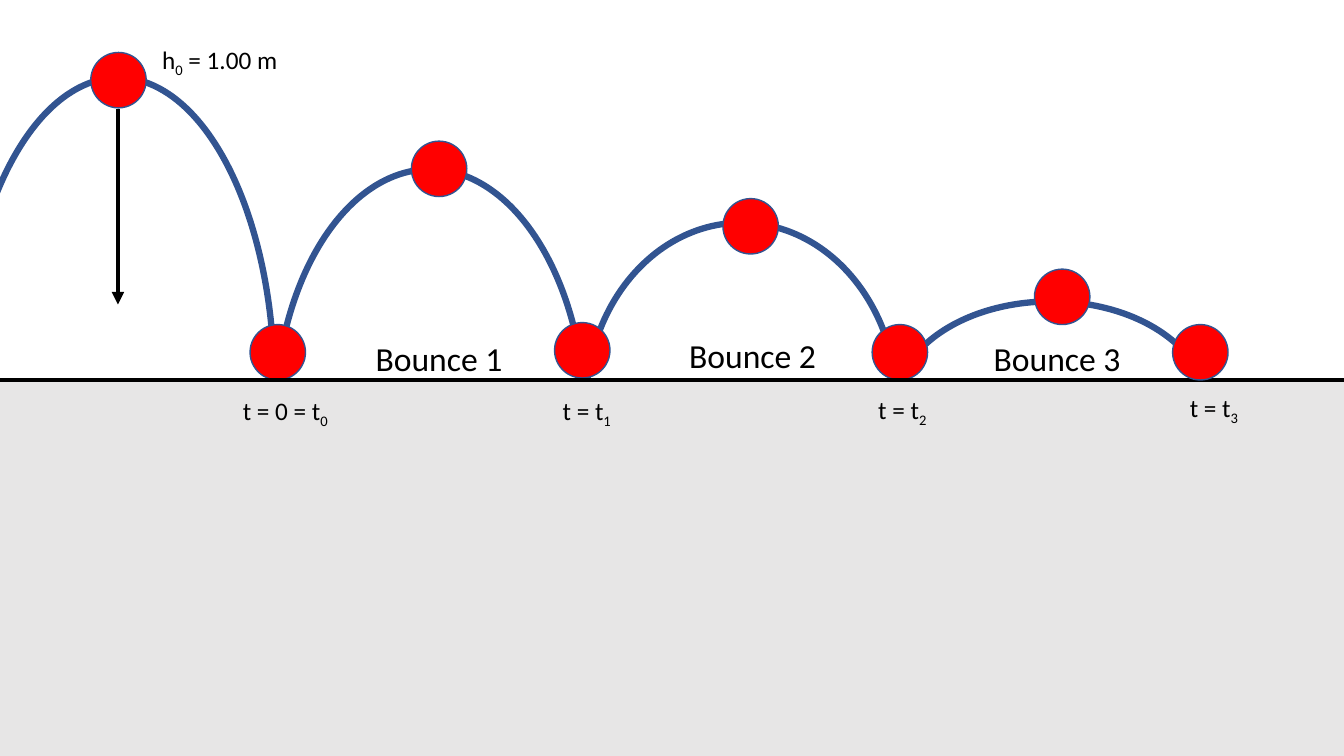
from lxml.etree import SubElement
from pptx import Presentation
from pptx.dml.color import RGBColor
from pptx.enum.shapes import MSO_CONNECTOR, MSO_SHAPE
from pptx.enum.text import MSO_AUTO_SIZE, PP_ALIGN
from pptx.oxml.ns import qn
from pptx.util import Inches, Pt

RED = RGBColor(0xFF, 0x00, 0x00)
BLUE = RGBColor(0x32, 0x54, 0x91)
GRAY = RGBColor(0xE7, 0xE6, 0xE6)
BLACK = RGBColor(0x00, 0x00, 0x00)

WIDTH, HEIGHT = 13.33, 7.5
GROUND = 3.77
BALL = 0.55
ARC_WIDTH = 3.09

# Arcs: left, top, height
ARCS = [(-0.37, 0.77, 6.09), (2.72, 1.68, 5.09), (5.81, 2.21, 3.64), (8.88, 2.99, 2.08)]
# Balls: left, top
PEAK_BALLS = [(0.9, 0.52), (4.08, 1.4), (7.17, 1.97), (10.26, 2.67)]
LANDED_BALLS = [(2.48, 3.22), (5.5, 3.2), (8.65, 3.22)]
LAST_BALL = (11.63, GROUND - BALL)
# Labels: left, top, width, text, subscript, text after the subscript
TIME_LABELS = [
    (2.06, 3.87, 1.54, "t = 0 = t", "0", ""),
    (5.45, 3.87, 0.74, "t = t", "1", ""),
    (8.58, 3.86, 0.74, "t = t", "2", ""),
    (11.67, 3.84, 0.74, "t = t", "3", ""),
]
HEIGHT_LABEL = (1.51, 0.39, 1.7, "h", "0", " = 1.00 m")
# Bounce names: left, top
BOUNCES = [(3.62, 3.3), (6.73, 3.27), (9.75, 3.3)]
ARROW_X, ARROW_TOP, ARROW_BOTTOM = 1.17, 1.08, 3.02


def add_outline(slide, kind, box, fill, line_color, line_width):
    shape = slide.shapes.add_shape(kind, *map(Inches, box))
    shape.shadow.inherit = False
    if fill is None:
        shape.fill.background()
    else:
        shape.fill.solid()
        shape.fill.fore_color.rgb = fill
    shape.line.color.rgb = line_color
    shape.line.width = Pt(line_width)


def add_balls(slide, places):
    for left, top in places:
        add_outline(slide, MSO_SHAPE.OVAL, (left, top, BALL, BALL), RED, BLUE, 1)


def add_label(slide, box, parts, size, alignment=PP_ALIGN.CENTER):
    """Add a text box; every second part is a subscript."""
    frame = slide.shapes.add_textbox(*map(Inches, box)).text_frame
    frame.word_wrap = True
    frame.auto_size = MSO_AUTO_SIZE.SHAPE_TO_FIT_TEXT
    paragraph = frame.paragraphs[0]
    paragraph.alignment = alignment
    for index, text in enumerate(parts):
        if not text:
            continue
        run = paragraph.add_run()
        run.text = text
        for name, value in {"name": "Calibri", "size": Pt(size)}.items():
            setattr(run.font, name, value)
        run.font.color.rgb = BLACK
        if index % 2:
            run._r.get_or_add_rPr().set("baseline", "-25000")


def add_fall_arrow(slide):
    ends = map(Inches, (ARROW_X, ARROW_TOP, ARROW_X, ARROW_BOTTOM))
    arrow = slide.shapes.add_connector(MSO_CONNECTOR.STRAIGHT, *ends)
    arrow.line.color.rgb = BLACK
    arrow.line.width = Pt(3)
    SubElement(arrow.line._get_or_add_ln(), qn("a:tailEnd"), type="triangle")
    SubElement(arrow._element.spPr, qn("a:effectLst"))


def main():
    presentation = Presentation()
    presentation.slide_width = Inches(WIDTH)
    presentation.slide_height = Inches(HEIGHT)
    slide = presentation.slides.add_slide(presentation.slide_layouts[6])

    for left, top, height in ARCS:
        add_outline(slide, MSO_SHAPE.OVAL, (left, top, ARC_WIDTH, height), None, BLUE, 4.5)
    add_balls(slide, PEAK_BALLS + LANDED_BALLS)
    # The ground hides the lower half of each arc
    add_outline(slide, MSO_SHAPE.RECTANGLE, (-0.24, GROUND, 13.97, 4.22), GRAY, BLACK, 3)
    add_balls(slide, [LAST_BALL])
    add_fall_arrow(slide)

    left, top, width, *parts = HEIGHT_LABEL
    add_label(slide, (left, top, width, 0.4), parts, 18, PP_ALIGN.LEFT)
    for left, top, width, *parts in TIME_LABELS:
        add_label(slide, (left, top, width, 0.4), parts, 18)
    for number, (left, top) in enumerate(BOUNCES, start=1):
        add_label(slide, (left, top, 1.47, 0.5), [f"Bounce {number}"], 24)

    presentation.save("out.pptx")


if __name__ == "__main__":
    main()
